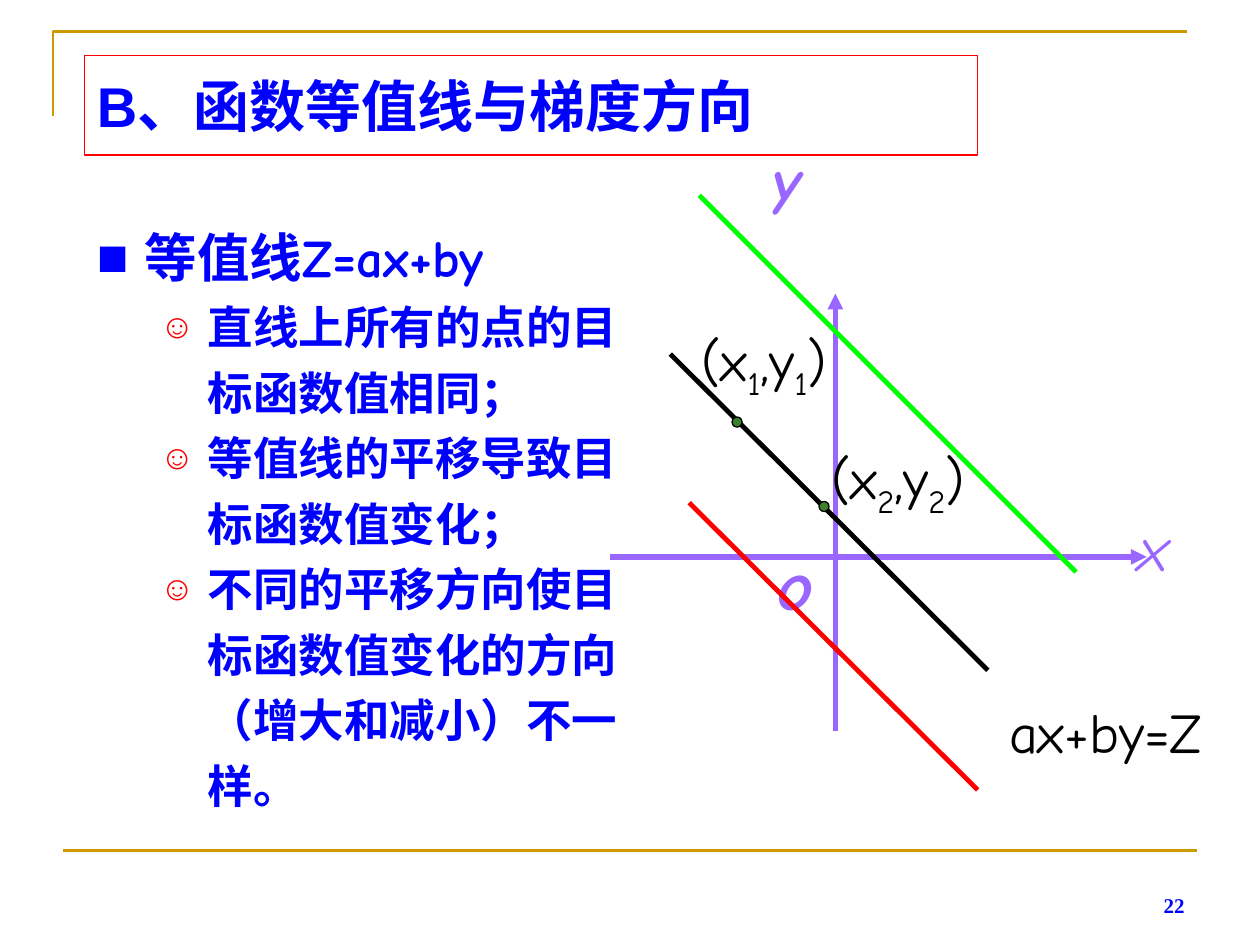
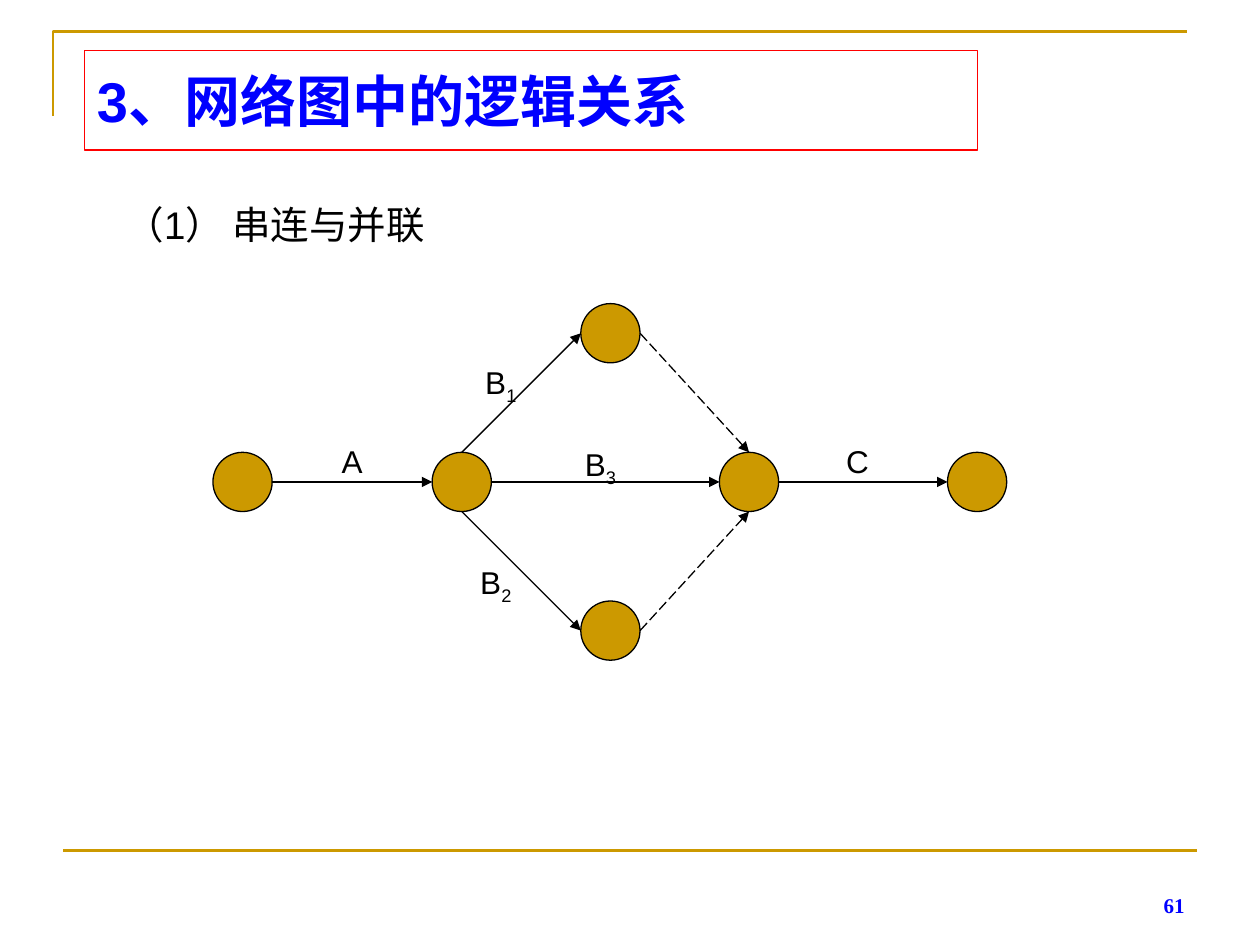
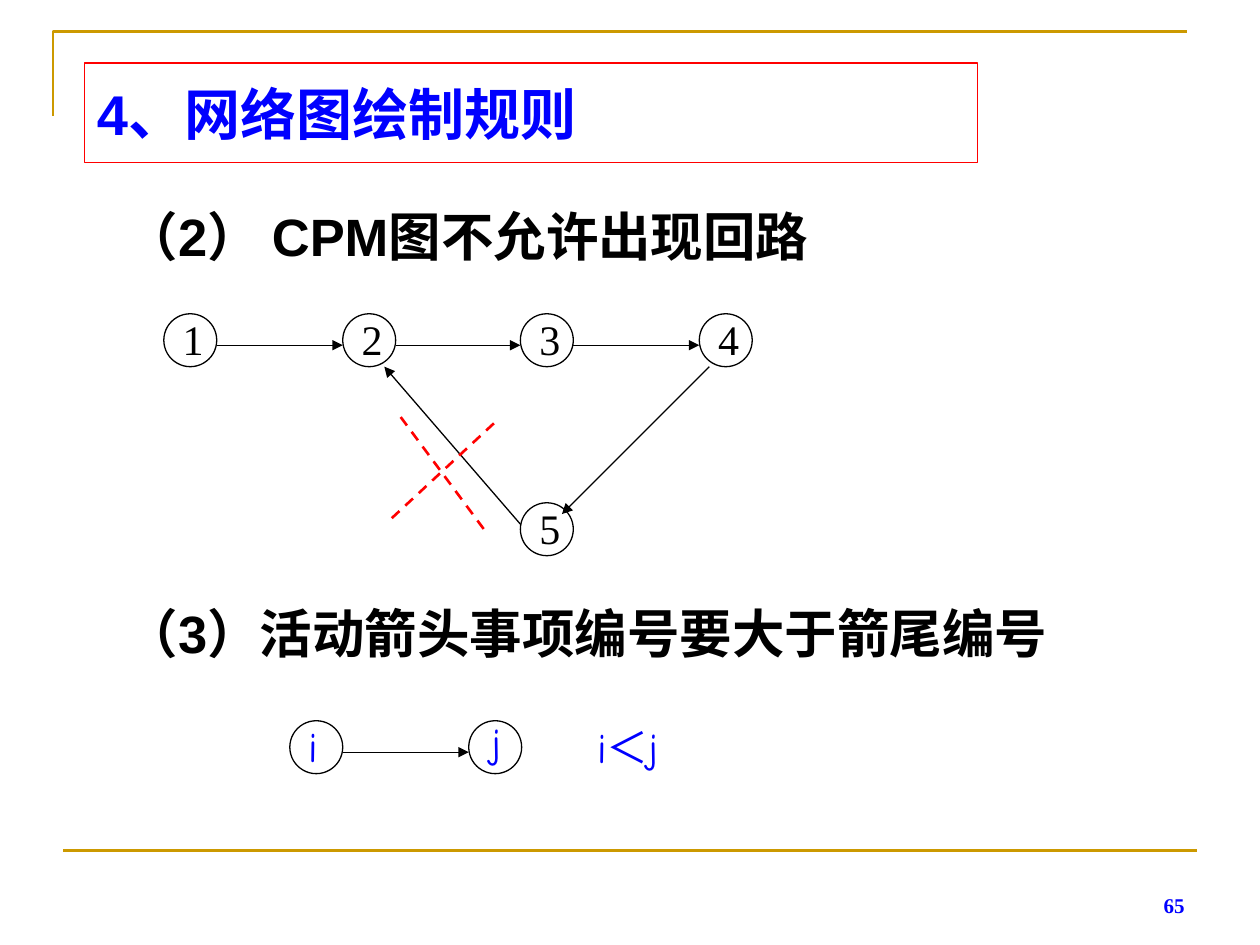
from dataclasses import dataclass, replace
from typing import NamedTuple

from lxml.etree import SubElement
from pptx import Presentation
from pptx.dml.color import RGBColor
from pptx.enum.dml import MSO_LINE_DASH_STYLE as Dash
from pptx.enum.shapes import MSO_CONNECTOR, MSO_SHAPE
from pptx.enum.text import MSO_ANCHOR as Anchor, PP_ALIGN as Align
from pptx.oxml.ns import qn
from pptx.util import Emu, Pt

PX = 9144
GOLD, BLUE, RED, GREEN = "CC9900", "0000FF", "FF0000", "00FF00"
BLACK, WHITE, PURPLE, DOT_GREEN = "000000", "FFFFFF", "9966FF", "3B812F"
ARIAL, COMIC, TIMES = "Arial", "Comic Neue", "Times New Roman"


class Box(NamedTuple):
    left: int
    top: int
    width: int
    height: int

    def side(self, across: float, down: float) -> tuple[float, float]:
        return self.left + self.width * across, self.top + self.height * down


class Padding(NamedTuple):
    left: int = 10
    top: int = 5
    right: int = 10
    bottom: int = 5


@dataclass(frozen=True)
class Style:
    font: str
    size: int
    color: str = BLACK
    bold: bool = False
    italic: bool = False
    align: Align = Align.LEFT
    spacing: float = 1.0
    margin: int = 0
    hanging: int = 0
    bullet: str = ""
    bullet_color: str = BLUE
    bullet_size: int = 100
    level: int = 0


@dataclass(frozen=True)
class Line:
    start: tuple[float, float]
    end: tuple[float, float]
    color: str = BLACK
    width: float = 0.75
    arrow: bool = False
    dash: Dash | None = None


@dataclass(frozen=True)
class Label:
    text: str
    box: Box
    style: Style
    anchor: Anchor = Anchor.TOP
    padding: Padding = Padding()


TITLE = Style(ARIAL, 32, BLUE, bold=True)
PAGE_NUMBER = Style(TIMES, 12, BLUE, bold=True, align=Align.RIGHT)
TOPIC = Style(COMIC, 30, BLUE, bold=True, spacing=1.2, margin=38, hanging=38, bullet="■")
POINT = replace(TOPIC, size=26, margin=88, bullet="☺", bullet_color=RED, bullet_size=75, level=1)
AXIS = Style(COMIC, 36, PURPLE, bold=True, italic=True)
FORMULA = Style(COMIC, 32)
HEADING = Style(ARIAL, 22, spacing=1.2, margin=38, hanging=38)
RULE = replace(HEADING, size=30, bold=True, align=Align.JUSTIFY)
ACTIVITY = Style(ARIAL, 18, align=Align.CENTER)
EVENT = Style(TIMES, 24)
VARIABLE = Style(COMIC, 24, BLUE)
EVENT_PADDING = Padding(7, 8)


def px(length: float) -> Emu:
    return Emu(round(length * PX))


def rgb(color: str) -> RGBColor:
    return RGBColor.from_string(color)


def add_bullet(paragraph, style: Style) -> None:
    properties = paragraph._p.get_or_add_pPr()
    color = SubElement(properties, qn("a:buClr"))
    SubElement(color, qn("a:srgbClr"), val=style.bullet_color)
    SubElement(properties, qn("a:buSzPct"), val=str(style.bullet_size * 1000))
    SubElement(properties, qn("a:buFont"), typeface=ARIAL)
    SubElement(properties, qn("a:buChar"), char=style.bullet)


def fill_paragraph(paragraph, text: str, style: Style) -> None:
    paragraph.alignment = style.align
    paragraph.level = style.level
    paragraph.line_spacing = style.spacing
    if style.hanging:
        properties = paragraph._p.get_or_add_pPr()
        properties.set("marL", str(px(style.margin)))
        properties.set("indent", str(px(-style.hanging)))
    if style.bullet:
        add_bullet(paragraph, style)
    font = paragraph.font
    font.name, font.size = style.font, Pt(style.size)
    font.bold, font.italic = style.bold, style.italic
    font.color.rgb = rgb(style.color)
    first, *rest = text.split("_")
    paragraph.add_run().text = first
    for part in rest:
        subscript = paragraph.add_run()
        subscript.text = part[0]
        subscript.font._element.set("baseline", "-25000")
        if part[1:]:
            paragraph.add_run().text = part[1:]


def set_frame(frame, anchor: Anchor, padding: Padding) -> None:
    frame.word_wrap = True
    frame.vertical_anchor = anchor
    frame.margin_left, frame.margin_top = px(padding.left), px(padding.top)
    frame.margin_right, frame.margin_bottom = px(padding.right), px(padding.bottom)


def add_label(slide, label: Label) -> None:
    frame = slide.shapes.add_textbox(*map(px, label.box)).text_frame
    set_frame(frame, label.anchor, label.padding)
    fill_paragraph(frame.paragraphs[0], label.text, label.style)


def add_list(slide, box: Box, items: list[tuple[str, Style]]) -> None:
    frame = slide.shapes.add_textbox(*map(px, box)).text_frame
    set_frame(frame, Anchor.TOP, Padding())
    for index, (text, style) in enumerate(items):
        paragraph = frame.add_paragraph() if index else frame.paragraphs[0]
        fill_paragraph(paragraph, text, style)


def add_line(slide, line: Line) -> None:
    ends = map(px, (*line.start, *line.end))
    connector = slide.shapes.add_connector(MSO_CONNECTOR.STRAIGHT, *ends)
    connector.line.color.rgb = rgb(line.color)
    connector.line.width = Pt(line.width)
    if line.dash is not None:
        connector.line.dash_style = line.dash
    if line.arrow:
        SubElement(connector.line._get_or_add_ln(), qn("a:tailEnd"), type="triangle")
    SubElement(connector._element.spPr, qn("a:effectLst"))


def add_outlined(slide, kind: MSO_SHAPE, box: Box, fill: str | None, line_color: str):
    shape = slide.shapes.add_shape(kind, *map(px, box))
    shape.shadow.inherit = False
    if fill:
        shape.fill.solid()
        shape.fill.fore_color.rgb = rgb(fill)
    else:
        shape.fill.background()
    shape.line.color.rgb = rgb(line_color)
    shape.line.width = Pt(0.75)
    return shape


def add_circle(slide, box: Box, fill: str) -> None:
    add_outlined(slide, MSO_SHAPE.OVAL, box, fill, BLACK)


def add_event(slide, text: str, left: int, top: int, style: Style,
              padding: Padding = EVENT_PADDING) -> None:
    add_circle(slide, Box(left, top, 42, 42), WHITE)
    add_label(slide, Label(text, Box(left + 8, top - 8, 25, 53), style, padding=padding))


def start_slide(presentation, title: str, title_top: int, number: int):
    slide = presentation.slides.add_slide(presentation.slide_layouts[6])
    builder = slide.shapes.build_freeform(42, 92, scale=PX)
    builder.add_line_segments([(42, 25), (942, 25)], close=False)
    corner = builder.convert_to_shape()
    corner.shadow.inherit = False
    corner.fill.background()
    corner.line.color.rgb = rgb(GOLD)
    corner.line.width = Pt(1.5)
    add_line(slide, Line((50, 675), (950, 675), GOLD, 1.5))
    frame = add_outlined(slide, MSO_SHAPE.RECTANGLE, Box(67, title_top, 709, 79), None, RED).text_frame
    set_frame(frame, Anchor.MIDDLE, Padding())
    fill_paragraph(frame.paragraphs[0], title, TITLE)
    add_label(slide, Label(str(number), Box(717, 683, 233, 50), PAGE_NUMBER, Anchor.BOTTOM))
    return slide


def build_contour_slide(presentation) -> None:
    slide = start_slide(presentation, "B、函数等值线与梯度方向", 44, 22)
    add_list(slide, Box(67, 164, 436, 486), [
        ("等值线Z=ax+by", TOPIC),
        ("直线上所有的点的目标函数值相同；", POINT),
        ("等值线的平移导致目标函数值变化；", POINT),
        ("不同的平移方向使目标函数值变化的方向（增大和减小）不一样。", POINT),
    ])
    axis_labels = [
        Label("x", Box(894, 399, 50, 70), replace(AXIS, bold=False)),
        Label("y", Box(603, 107, 50, 70), AXIS),
        Label("o", Box(607, 424, 58, 77), replace(AXIS, size=40)),
    ]
    for label in axis_labels:
        add_label(slide, label)
    lines = [
        Line((663, 580), (663, 233), PURPLE, 3, arrow=True),
        Line((484, 442), (910, 442), PURPLE, 3, arrow=True),
        Line((532, 281), (784, 532), BLACK, 2.75),
        Line((547, 399), (776, 627), RED, 2.75),
        Line((555, 155), (854, 454), GREEN, 2.75),
    ]
    for line in lines:
        add_line(slide, line)
    add_label(slide, Label("ax+by=Z", Box(791, 548, 205, 64), FORMULA, Anchor.MIDDLE))
    points = [("(x_1,y_1)", (547, 253), (581, 331)), ("(x_2,y_2)", (650, 347), (650, 398))]
    for text, corner, dot in points:
        add_label(slide, Label(text, Box(*corner, 157, 71), FORMULA, Anchor.MIDDLE))
        add_circle(slide, Box(*dot, 8, 8), DOT_GREEN)


def build_logic_slide(presentation) -> None:
    slide = start_slide(presentation, "3、网络图中的逻辑关系", 40, 61)
    add_label(slide, Label("（1） 串连与并联", Box(90, 147, 874, 54), HEADING))
    first, split, merge, last = (Box(left, 359, 47, 47) for left in (169, 343, 571, 752))
    upper, lower = (Box(461, top, 47, 47) for top in (241, 477))
    for node in (first, split, merge, last, upper, lower):
        add_circle(slide, node, GOLD)
    top, left, bottom, right = (0.5, 0), (0, 0.5), (0.5, 1), (1, 0.5)
    activities = [
        (first, right, split, left, None),
        (split, right, merge, left, None),
        (merge, right, last, left, None),
        (split, top, upper, left, None),
        (upper, right, merge, top, Dash.LONG_DASH),
        (split, bottom, lower, left, None),
        (lower, right, merge, bottom, Dash.LONG_DASH),
    ]
    for source, leaving, target, entering, dash in activities:
        add_line(slide, Line(source.side(*leaving), target.side(*entering), arrow=True, dash=dash))
    names = [
        ("A", Box(264, 351, 31, 30)),
        ("C", Box(665, 351, 31, 30)),
        ("B_1", Box(382, 288, 31, 34)),
        ("B_3", Box(461, 353, 31, 34)),
        ("B_2", Box(374, 447, 39, 34)),
    ]
    for text, box in names:
        add_label(slide, Label(text, box, ACTIVITY, padding=Padding(0, 0, 0, 0)))


def build_rules_slide(presentation) -> None:
    slide = start_slide(presentation, "4、网络图绘制规则", 50, 65)
    rules = [("（2） CPM图不允许出现回路", 147), ("（3）活动箭头事项编号要大于箭尾编号", 462)]
    for text, top in rules:
        add_label(slide, Label(text, Box(90, top, 827, 70), RULE))
    event_lefts = [130, 272, 413, 555]
    for number, left in enumerate(event_lefts, 1):
        add_event(slide, str(number), left, 249, EVENT)
    add_event(slide, "5", 413, 399, EVENT)
    add_event(slide, "i", 230, 572, VARIABLE)
    add_event(slide, "j", 372, 572, VARIABLE, Padding())
    for left, following in zip(event_lefts, event_lefts[1:]):
        add_line(slide, Line((left + 42, 274), (following, 274), arrow=True))
    lines = [
        Line((563, 291), (446, 408), arrow=True),
        Line((413, 416), (305, 291), arrow=True),
        Line((272, 597), (372, 597), arrow=True),
        Line((318, 331), (387, 424), RED, 1.5, dash=Dash.DASH),
        Line((392, 336), (308, 414), RED, 1.5, dash=Dash.DASH),
    ]
    for line in lines:
        add_line(slide, line)
    add_label(slide, Label("i＜j", Box(464, 568, 92, 50), VARIABLE))


def main() -> None:
    presentation = Presentation()
    presentation.slide_width, presentation.slide_height = px(1000), px(750)
    build_contour_slide(presentation)
    build_logic_slide(presentation)
    build_rules_slide(presentation)
    presentation.save("out.pptx")


if __name__ == "__main__":
    main()
